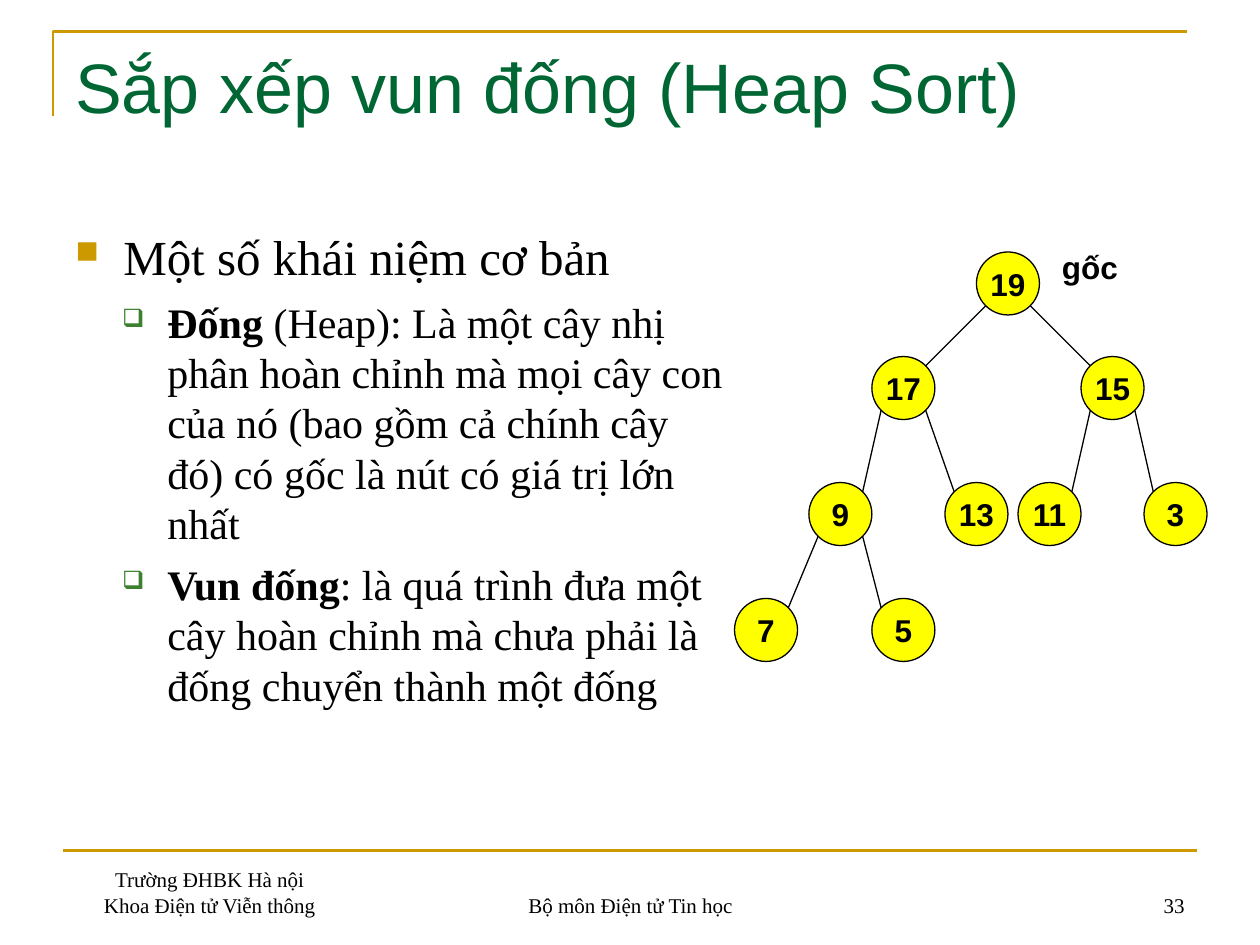
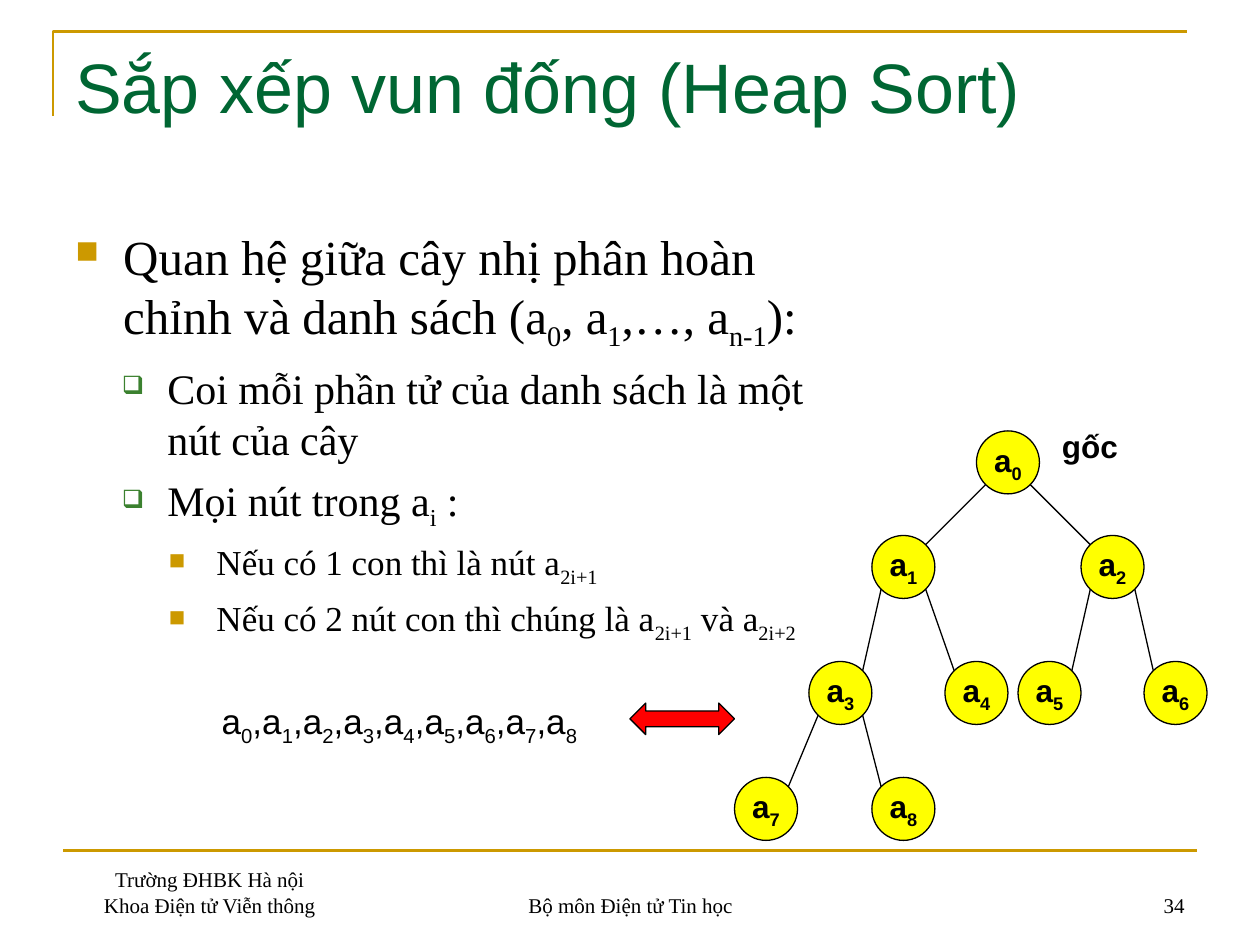
from lxml import etree
from pptx import Presentation
from pptx.dml.color import RGBColor
from pptx.enum import shapes, text
from pptx.oxml import ns
from pptx.util import Inches, Pt

GOLD, GREEN, LEAF = "CC9900", "006633", "3B812F"
BLACK, YELLOW, RED = "000000", "FFFF00", "FF0000"
SANS, SERIF = "Arial", "Times New Roman"
LEFT, CENTER, RIGHT = text.PP_ALIGN.LEFT, text.PP_ALIGN.CENTER, text.PP_ALIGN.RIGHT
TOP, BOTTOM = text.MSO_ANCHOR.TOP, text.MSO_ANCHOR.BOTTOM

# Per level: font size, space before, left margin, hanging indent, bullet, colour, bullet percent
LEVELS = [
    (28, 7, 0.38, 0.38, "■", GOLD, 65),
    (24, 6, 0.73, 0.36, "❑", LEAF, 60),
    (20, 5, 1.12, 0.38, "■", GOLD, 65),
]

NODE = 0.5
CORNER = NODE / 2 * 0.5 ** 0.5
# Left and top of each node relative to the root, in heap order
NODE_OFFSETS = [
    (0, 0),
    (-0.83, 0.83), (0.83, 0.83),
    (-1.33, 1.83), (-0.25, 1.83), (0.33, 1.83), (1.33, 1.83),
    (-1.92, 2.75), (-0.83, 2.75),
]


def color(value):
    return RGBColor.from_string(value)


def inches(*values):
    return [Inches(value) for value in values]


class Deck:
    def __init__(self):
        self.presentation = Presentation()
        self.presentation.slide_width, self.presentation.slide_height = inches(10, 7.5)
        self.slide = None

    def start_slide(self, title, number):
        self.slide = self.presentation.slides.add_slide(self.presentation.slide_layouts[6])
        builder = self.slide.shapes.build_freeform(*inches(0.42, 0.92), scale=1.0)
        builder.add_line_segments([inches(0.42, 0.25), inches(9.42, 0.25)], close=False)
        bracket = builder.convert_to_shape()
        bracket.fill.background()
        self.outline(bracket, GOLD, 1.5)
        bracket.shadow.inherit = False
        self.line((0.5, 6.75), (9.5, 6.75), GOLD, 1.5)
        self.text_box((0.5, 0.3, 9, 1.25), [title], 40, SANS, GREEN)
        for left, width, lines, align in [
            (0.5, 2.33, ["Trường ĐHBK Hà nội", "Khoa Điện tử Viễn thông"], CENTER),
            (3.42, 3.17, ["Bộ môn Điện tử Tin học"], CENTER),
            (7.17, 2.33, [str(number)], RIGHT),
        ]:
            self.text_box((left, 6.83, width, 0.5), lines, 12, SERIF, align=align, anchor=BOTTOM)

    def outline(self, shape, line_color=BLACK, width=0.75):
        shape.line.color.rgb = color(line_color)
        shape.line.width = Pt(width)

    def line(self, start, end, line_color=BLACK, width=0.75):
        connector = self.slide.shapes.add_connector(
            shapes.MSO_CONNECTOR.STRAIGHT, *inches(*start, *end))
        self.outline(connector, line_color, width)
        etree.SubElement(connector._element.spPr, ns.qn("a:effectLst"))

    def fill_paragraph(self, paragraph, marked, size, font, font_color=BLACK, bold=None,
                       align=LEFT):
        """Add marked text: *bold* and ~subscript~."""
        paragraph.alignment = align
        paragraph.font.size, paragraph.font.name = Pt(size), font
        paragraph.font.bold = bold
        paragraph.font.color.rgb = color(font_color)
        for i, part in enumerate(marked.split("*")):
            for j, piece in enumerate(part.split("~")):
                if not piece:
                    continue
                run = paragraph.add_run()
                run.text = piece
                if i % 2:
                    run.font.bold = True
                if j % 2:
                    run._r.get_or_add_rPr().set("baseline", "-25000")

    def empty_box(self, box, anchor=TOP):
        frame = self.slide.shapes.add_textbox(*inches(*box)).text_frame
        frame.word_wrap = True
        frame.vertical_anchor = anchor
        return frame

    def paragraphs(self, frame, items):
        """Yield one paragraph for each item, reusing the first."""
        for i, item in enumerate(items):
            yield (frame.add_paragraph() if i else frame.paragraphs[0]), item

    def text_box(self, box, lines, size, font, font_color=BLACK, bold=None,
                 align=LEFT, anchor=TOP):
        frame = self.empty_box(box, anchor)
        for paragraph, line in self.paragraphs(frame, lines):
            self.fill_paragraph(paragraph, line, size, font, font_color, bold, align)

    def bullet_list(self, box, items):
        for paragraph, (level, marked) in self.paragraphs(self.empty_box(box), items):
            size, before, margin, hanging, bullet, bullet_color, percent = LEVELS[level]
            paragraph.level = level
            paragraph.space_before = Pt(before)
            properties = paragraph._p.get_or_add_pPr()
            properties.set("marL", str(Inches(margin)))
            properties.set("indent", str(-Inches(hanging)))
            bullet_fill = etree.SubElement(properties, ns.qn("a:buClr"))
            etree.SubElement(bullet_fill, ns.qn("a:srgbClr"), val=bullet_color)
            etree.SubElement(properties, ns.qn("a:buSzPct"), val=str(percent * 1000))
            etree.SubElement(properties, ns.qn("a:buChar"), char=bullet)
            self.fill_paragraph(paragraph, marked, size, SERIF)

    def shape(self, kind, box, fill):
        shape = self.slide.shapes.add_shape(kind, *inches(*box))
        shape.shadow.inherit = False
        shape.fill.solid()
        shape.fill.fore_color.rgb = color(fill)
        self.outline(shape)
        return shape

    def heap(self, top, labels, left=7.75):
        nodes = [(left + x, top + y) for x, y in NODE_OFFSETS]
        for (x, y), label in zip(nodes, labels):
            frame = self.shape(shapes.MSO_SHAPE.OVAL, (x, y, NODE, NODE), YELLOW).text_frame
            frame.margin_left = frame.margin_right = 0
            frame.word_wrap = False
            frame.vertical_anchor = text.MSO_ANCHOR.MIDDLE
            self.fill_paragraph(frame.paragraphs[0], label, 18, SANS, bold=True, align=CENTER)
        centers = [(x + NODE / 2, y + NODE / 2) for x, y in nodes]
        for child in range(1, len(centers)):
            (parent_x, parent_y), (x, y) = centers[(child - 1) // 2], centers[child]
            side = -CORNER if child % 2 else CORNER
            self.line((parent_x + side, parent_y + CORNER), (x - side, y - CORNER))
        self.text_box((left + 0.58, top - 0.08, 1.08, 0.4), ["gốc"], 18, SANS, bold=True)


def main():
    title = "Sắp xếp vun đống (Heap Sort)"
    deck = Deck()

    deck.start_slide(title, 33)
    deck.bullet_list((0.5, 1.75, 5.42, 4.95), [
        (0, "Một số khái niệm cơ bản"),
        (1, "*Đống* (Heap): Là một cây nhị phân hoàn chỉnh mà mọi cây con của nó "
            "(bao gồm cả chính cây đó) có gốc là nút có giá trị lớn nhất"),
        (1, "*Vun đống*: là quá trình đưa một cây hoàn chỉnh mà chưa phải là đống "
            "chuyển thành một đống"),
    ])
    deck.heap(2, ["19", "17", "15", "9", "13", "11", "3", "7", "5"])

    deck.start_slide(title, 34)
    deck.bullet_list((0.5, 1.75, 6.17, 3.83), [
        (0, "Quan hệ giữa cây nhị phân hoàn chỉnh và danh sách (a~0~, a~1~,…, a~n-1~):"),
        (1, "Coi mỗi phần tử của danh sách là một nút của cây"),
        (1, "Mọi nút trong a~i~ :"),
        (2, "Nếu có 1 con thì là nút a~2i+1~"),
        (2, "Nếu có 2 nút con thì chúng là a~2i+1~ và a~2i+2~"),
    ])
    elements = [f"a~{i}~" for i in range(len(NODE_OFFSETS))]
    deck.heap(3.42, elements)
    deck.text_box((1.42, 5.5, 3.5, 0.48), [",".join(elements)], 20, SANS, align=CENTER)
    deck.shape(shapes.MSO_SHAPE.LEFT_RIGHT_ARROW, (5, 5.58, 0.83, 0.25), RED)

    deck.presentation.save("out.pptx")


if __name__ == "__main__":
    main()
